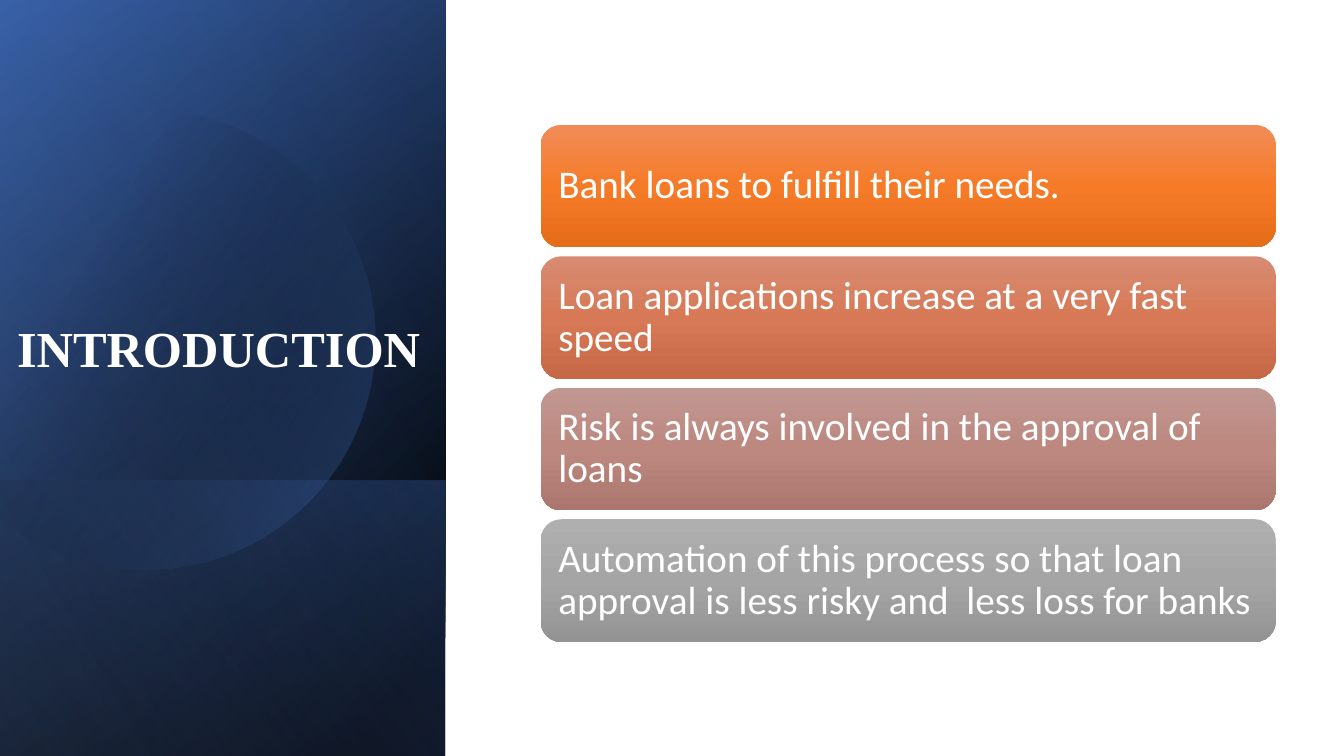
"""Build the introduction slide with a gradient side panel and four cards."""
from math import cos, radians, sin, tan

from lxml.etree import SubElement
from pptx import Presentation
from pptx.dml.color import RGBColor
from pptx.enum.shapes import MSO_SHAPE
from pptx.enum.text import MSO_ANCHOR, MSO_AUTO_SIZE, PP_ALIGN
from pptx.oxml import parse_xml
from pptx.oxml.ns import nsdecls, qn
from pptx.util import Pt

COLOURS = {
    "white": "FFFFFF", "black": "000000", "navy": "2F5597", "blue": "4472C4", "sky": "8FAADC",
    "orange light": "F18C57", "orange": "F67B28", "orange dark": "E56C19",
    "coral light": "D78B72", "coral": "D77956", "coral dark": "C66846",
    "rose light": "C19791", "rose": "BC8880", "rose dark": "AA766E",
    "grey light": "AFAFAF", "grey": "A5A5A5", "grey dark": "939393",
}
SLIDE_WIDTH, SLIDE_HEIGHT = 960, 540
PANEL_WIDTH = 318.2


def paint(shape, stops, angle):
    """Give a shape a linear gradient of (position, colour, opacity) stops."""
    shape.shadow.inherit = False
    shape.line.fill.background()
    shape.fill.background()
    stop_xml = "".join(
        f'<a:gs pos="{position * 1000}"><a:srgbClr val="{COLOURS[colour]}">'
        f'<a:alpha val="{opacity * 1000}"/></a:srgbClr></a:gs>'
        for position, colour, opacity in stops
    )
    gradient = parse_xml(
        f'<a:gradFill {nsdecls("a")} rotWithShape="1"><a:gsLst>{stop_xml}</a:gsLst>'
        f'<a:lin ang="{angle * 60000}" scaled="0"/></a:gradFill>'
    )
    properties = shape._element.spPr
    properties.replace(properties.find(qn("a:noFill")), gradient)


def add_panel(top, stops, angle):
    """Add a mirrored, quarter-turned panel from top down to the slide's foot."""
    length = SLIDE_HEIGHT - top
    panel = page.shapes.add_shape(
        MSO_SHAPE.RECTANGLE, Pt((PANEL_WIDTH - length) / 2),
        Pt(top + (length - PANEL_WIDTH) / 2), Pt(length), Pt(PANEL_WIDTH))
    panel.rotation = 90
    panel._element.spPr.find(qn("a:xfrm")).set("flipH", "1")
    paint(panel, stops, angle)


deck = Presentation()
deck.slide_width, deck.slide_height = Pt(SLIDE_WIDTH), Pt(SLIDE_HEIGHT)
page = deck.slides.add_slide(deck.slide_layouts[5])

add_panel(0, [(8, "black", 100), (100, "navy", 100)], 50)
add_panel(0, [(0, "black", 0), (99, "blue", 46)], 30)
add_panel(343.1, [(2, "blue", 29), (100, "black", 30)], 130)

centre_x, centre_y, radius, step = 103.7, 242.6, 164.2, 45
handle = 4 / 3 * tan(radians(step / 4))
rim = []
for turn in range(-135, 136, step):
    across, down = cos(radians(turn)), sin(radians(turn))
    for pull in (-handle, 0, handle):
        rim.append((Pt(centre_x + radius * (across - pull * down)),
                    Pt(centre_y + radius * (down + pull * across))))
rim = rim[1:-1]
outline = page.shapes.build_freeform(*rim[0])
outline.add_line_segments(rim[1:], close=True)
circle = outline.convert_to_shape()
lines = list(circle._element.iter(qn("a:lnTo")))
for start in range(0, len(rim) - 1, 3):
    curve = SubElement(lines[0].getparent(), qn("a:cubicBezTo"))
    lines[start].addprevious(curve)
    for line in lines[start:start + 3]:
        curve.append(line[0])
for line in lines:
    line.getparent().remove(line)
paint(circle, [(29, "black", 0), (100, "blue", 43)], 30)

add_panel(0, [(0, "black", 0), (99, "sky", 11)], 120)

title = page.shapes.title
page.shapes._spTree.append(title._element)
title_place = {"left": Pt(0), "top": Pt(222.5), "width": Pt(307.4), "height": Pt(51.1)}
for name, value in title_place.items():
    setattr(title, name, value)
title.text_frame.text = "INTRODUCTION"
title.text_frame.auto_size = MSO_AUTO_SIZE.NONE
title.text_frame.vertical_anchor = MSO_ANCHOR.BOTTOM
para = title.text_frame.paragraphs[0]
para_format = {"alignment": PP_ALIGN.RIGHT, "line_spacing": 0.9, "space_after": Pt(6)}
for name, value in para_format.items():
    setattr(para, name, value)
span = para.runs[0]
for name, value in {"name": "Times New Roman", "size": Pt(36), "bold": True}.items():
    setattr(span.font, name, value)
span.font.color.rgb = RGBColor.from_string(COLOURS["white"])

cards = [
    ("orange", "Bank loans to fulfill their needs."),
    ("coral", "Loan applications increase at a very fast speed"),
    ("rose", "Risk is always involved in the approval of loans"),
    ("grey", "Automation of this process so that loan approval is less risky and  less loss for banks"),
]
frame_format = {
    "word_wrap": True, "vertical_anchor": MSO_ANCHOR.MIDDLE,
    "margin_left": Pt(8.4), "margin_right": Pt(8.4), "margin_top": Pt(8.4), "margin_bottom": Pt(8.4),
}
for index, (hue, wording) in enumerate(cards):
    card = page.shapes.add_shape(
        MSO_SHAPE.ROUNDED_RECTANGLE, Pt(386.2), Pt(89.2 + 93.9 * index), Pt(525), Pt(87.6))
    paint(card, [(0, f"{hue} light", 100), (50, hue, 100), (100, f"{hue} dark", 100)], 90)
    for name, value in frame_format.items():
        setattr(card.text_frame, name, value)
    para = card.text_frame.paragraphs[0]
    para.alignment = PP_ALIGN.LEFT
    para.line_spacing = 0.9
    span = para.add_run()
    span.text = wording
    span.font.name = "Calibri"
    span.font.size = Pt(28)
    span.font.color.rgb = RGBColor.from_string(COLOURS["white"])

deck.save("out.pptx")
